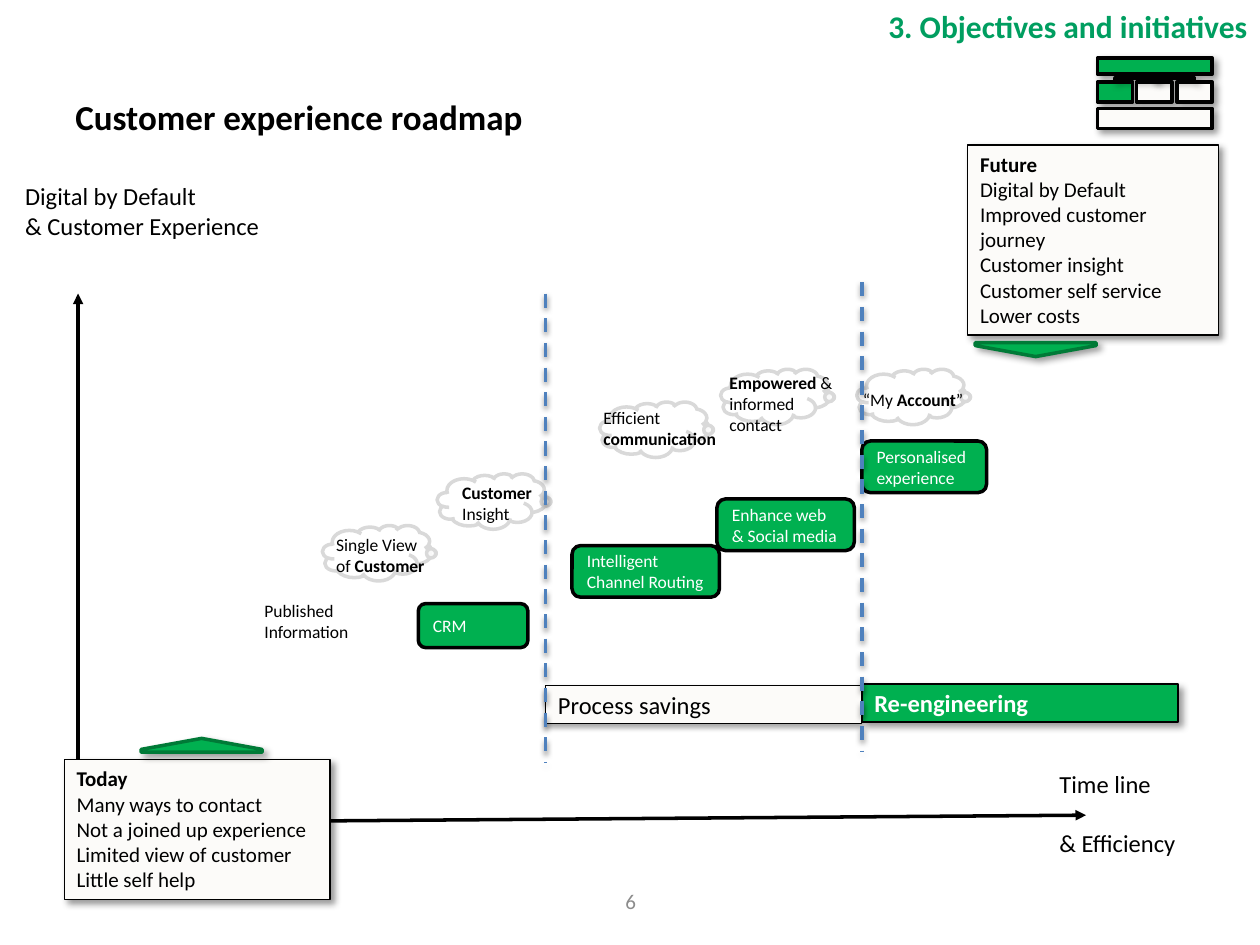
from dataclasses import dataclass

from lxml.etree import SubElement
from pptx import Presentation
from pptx.dml.color import RGBColor
from pptx.enum.dml import MSO_LINE
from pptx.enum.shapes import MSO_CONNECTOR as LINK, MSO_SHAPE as SHAPE
from pptx.enum.text import MSO_ANCHOR as ANCHOR, PP_ALIGN as ALIGN
from pptx.oxml.ns import qn
from pptx.util import Inches, Pt


@dataclass(frozen=True)
class Theme:
    font: str = "Calibri"
    black: str = "000000"
    white: str = "FFFFFF"
    green: str = "00B050"
    dark_green: str = "007A37"
    heading_green: str = "009E60"
    paper: str = "FCFBF9"
    cloud_edge: str = "D9D9D9"
    phase_blue: str = "4F81BD"
    grey: str = "8C8C8C"
    title: int = 20
    section: int = 18
    label: int = 14
    panel: int = 12
    small: int = 10
    thin: float = 0.75
    thick: float = 2


THEME = Theme()
# Opacity %, blur pt, distance pt, direction in degrees
CORNER_SHADOW = (40, 4, 3, 45)
BAR_SHADOW = (35, 3.1, 1.8, 90)
PHASE_SHADOW = (38, 3.1, 1.6, 90)


def rgb(value):
    return RGBColor.from_string(value)


def set_shadow(shape, shadow=None):
    """Add the effect list; call once fill and line are set."""
    effects = SubElement(shape._element.spPr, qn("a:effectLst"))
    if shadow:
        opacity, blur, distance, angle = shadow
        outer = SubElement(effects, qn("a:outerShdw"), blurRad=str(Pt(blur)), dist=str(Pt(distance)),
                           dir=str(angle * 60000), algn="tl", rotWithShape="0")
        color = SubElement(outer, qn("a:srgbClr"), val=THEME.black)
        SubElement(color, qn("a:alpha"), val=str(opacity * 1000))


def write(shape, paragraphs, size, color=THEME.black, align=ALIGN.LEFT,
          anchor=ANCHOR.TOP, wrap=True, gap=0):
    """Fill the text frame; words between asterisks are bold."""
    frame = shape.text_frame
    frame.word_wrap = wrap
    frame.vertical_anchor = anchor
    for index, text in enumerate(paragraphs):
        para = frame.add_paragraph() if index else frame.paragraphs[0]
        para.alignment = align
        if index and gap:
            para.space_before = Pt(gap)
        for part, words in enumerate(text.split("*")):
            if words:
                span = para.add_run()
                span.text = words
                span.font.name = THEME.font
                span.font.size = Pt(size)
                span.font.bold = part % 2 == 1
                span.font.color.rgb = rgb(color)


def add_text(page, at, paragraphs, size, **style):
    box = page.shapes.add_textbox(*map(Inches, at))
    write(box, paragraphs, size, **style)


def add_block(page, kind, at, fill, line=THEME.black, width=THEME.thick,
              shadow=None, adjustments=()):
    block = page.shapes.add_shape(kind, *map(Inches, at))
    for index, value in enumerate(adjustments):
        block.adjustments[index] = value
    block.fill.solid()
    block.fill.fore_color.rgb = rgb(fill)
    block.line.color.rgb = rgb(line)
    block.line.width = Pt(width)
    set_shadow(block, shadow)
    return block


def add_line(page, start, end, color=THEME.black, kind=LINK.STRAIGHT,
             shadow=None, dashed=False, arrow=False):
    line = page.shapes.add_connector(kind, *map(Inches, (*start, *end)))
    line.line.color.rgb = rgb(color)
    line.line.width = Pt(THEME.thick)
    if dashed:
        line.line.dash_style = MSO_LINE.DASH
    if arrow:
        SubElement(line.line._get_or_add_ln(), qn("a:tailEnd"), type="triangle")
    set_shadow(line, shadow)
    return line


def add_panel(page, at, paragraphs):
    panel = add_block(page, SHAPE.RECTANGLE, at, THEME.paper, width=THEME.thin, shadow=CORNER_SHADOW)
    write(panel, paragraphs, THEME.panel)


def add_cloud(page, left, top):
    cloud = add_block(page, SHAPE.CLOUD_CALLOUT, (left, top, 0.87, 0.44), THEME.white,
                      THEME.cloud_edge, adjustments=(0.501, 0.004))
    color = cloud.fill._xPr.find(qn("a:solidFill"))[0]
    SubElement(color, qn("a:alpha"), val="83000")


def add_step(page, at, paragraphs):
    step = add_block(page, SHAPE.ROUNDED_RECTANGLE, at, THEME.green)
    write(step, paragraphs, THEME.small, THEME.white, anchor=ANCHOR.MIDDLE)


def add_phase(page, at, text, fill, color, shadow):
    bar = add_block(page, SHAPE.RECTANGLE, at, fill, width=THEME.thin, shadow=shadow)
    write(bar, [text], THEME.label, color, anchor=ANCHOR.MIDDLE)


def add_pointer(page, left, top, rotation=0):
    pointer = add_block(page, SHAPE.DOWN_ARROW, (left, top, 0.96, 0.11), THEME.green,
                        THEME.dark_green, shadow=CORNER_SHADOW, adjustments=(1, 0.794))
    pointer.rotation = rotation


def add_branch(page, start, end):
    """Elbow that leaves downwards: a sideways elbow turned by a quarter."""
    (x1, y1), (x2, y2) = start, end
    middle_x, middle_y = (x1 + x2) / 2, (y1 + y2) / 2
    half_drop, half_run = (y2 - y1) / 2, abs(x2 - x1) / 2
    side = 1 if x2 > x1 else -1
    branch = add_line(page, (middle_x + side * half_drop, middle_y - half_run),
                      (middle_x - side * half_drop, middle_y + half_run),
                      kind=LINK.ELBOW, shadow=CORNER_SHADOW)
    branch._element.spPr.find(qn("a:xfrm")).set("rot", str((270 if side > 0 else 90) * 60000))


def add_structure_icon(page):
    cells = [(8.71, 0.46, 0.91, 0.13, THEME.green), (8.71, 0.65, 0.28, 0.16, THEME.green),
             (9.02, 0.65, 0.28, 0.16, THEME.paper), (9.34, 0.65, 0.28, 0.16, THEME.paper),
             (8.71, 0.86, 0.91, 0.16, THEME.paper)]
    for *at, fill in cells:
        add_block(page, SHAPE.RECTANGLE, at, fill, shadow=CORNER_SHADOW)
    for x in (8.85, 9.17, 9.48):
        add_branch(page, (9.16, 0.59), (x, 0.65))


def add_roadmap(page):
    add_text(page, (2, 4.71, 0.88, 0.44), ["Published", "Information"], THEME.small, wrap=False)
    benefits = [
        ((2.56, 4.17), (2.57, 4.19, 0.91, 0.44), ["Single View", "of *Customer*"]),
        ((3.47, 3.76), (3.57, 3.78, 0.76, 0.44), ["*Customer*", "Insight"]),
        ((4.76, 3.19), (4.69, 3.18, 1.11, 0.44), ["Efficient", "*communication*"]),
        ((5.72, 2.93), (5.69, 2.9, 1.03, 0.61), ["*Empowered* &", "informed", "contact"]),
        ((6.8, 2.93), (6.75, 3.04, 1.01, 0.27), ["“My *Account*”"]),
    ]
    for corner, at, paragraphs in benefits:
        add_cloud(page, *corner)
        add_text(page, at, paragraphs, THEME.small, wrap=False)
    add_step(page, (3.32, 4.79, 0.87, 0.35), ["CRM"])
    add_step(page, (4.54, 4.33, 1.17, 0.41), ["Intelligent", "Channel Routing"])
    add_step(page, (5.69, 3.96, 1.09, 0.41), ["Enhance web & Social media"])
    add_step(page, (6.84, 3.5, 0.99, 0.41), ["Personalised", "experience"])


def main():
    deck = Presentation()
    deck.slide_width, deck.slide_height = Inches(10), Inches(7.5)
    page = deck.slides.add_slide(deck.slide_layouts[6])

    add_text(page, (0.5, 0.3, 9, 1.25), ["*Customer experience roadmap*"], THEME.title, anchor=ANCHOR.MIDDLE)
    add_line(page, (0.62, 6.53), (8.62, 6.47), arrow=True)
    add_text(page, (8.31, 6.05, 1.13, 0.81), ["Time line", "& Efficiency"], THEME.label, wrap=False, gap=17)
    add_panel(page, (7.68, 1.15, 1.99, 1.51),
              ["*Future*", "Digital by Default", "Improved customer journey",
               "Customer insight", "Customer self service", "Lower costs"])
    add_roadmap(page)
    add_line(page, (0.62, 6.53), (0.62, 2.33), arrow=True)
    add_phase(page, (6.84, 5.43, 2.51, 0.3), "*Re-engineering*", THEME.green, THEME.white, CORNER_SHADOW)
    add_phase(page, (4.33, 5.44, 2.51, 0.3), "Process savings", THEME.paper, THEME.black, BAR_SHADOW)
    for x, top in ((4.33, 2.33), (6.84, 2.24)):
        add_line(page, (x, top), (x, top + 3.72), THEME.phase_blue, shadow=PHASE_SHADOW, dashed=True)
    add_panel(page, (0.51, 6.03, 2.11, 1.11),
              ["*Today*", "Many ways to contact", "Not a joined up experience",
               "Limited view of customer", "Little self help"])
    add_pointer(page, 1.12, 5.86, rotation=180)
    add_pointer(page, 7.74, 2.72)
    add_text(page, (0.1, 1.39, 2.08, 0.57), ["Digital by Default", "& Customer Experience"],
             THEME.label, wrap=False)
    add_structure_icon(page)
    add_text(page, (3.42, 6.95, 3.17, 0.4), ["6"], THEME.panel, color=THEME.grey,
             align=ALIGN.CENTER, anchor=ANCHOR.MIDDLE)
    add_text(page, (5.99, 0.01, 4.01, 0.4), ["*3. Objectives and initiatives*"], THEME.section,
             color=THEME.heading_green, align=ALIGN.RIGHT)
    deck.save("out.pptx")


if __name__ == "__main__":
    main()
